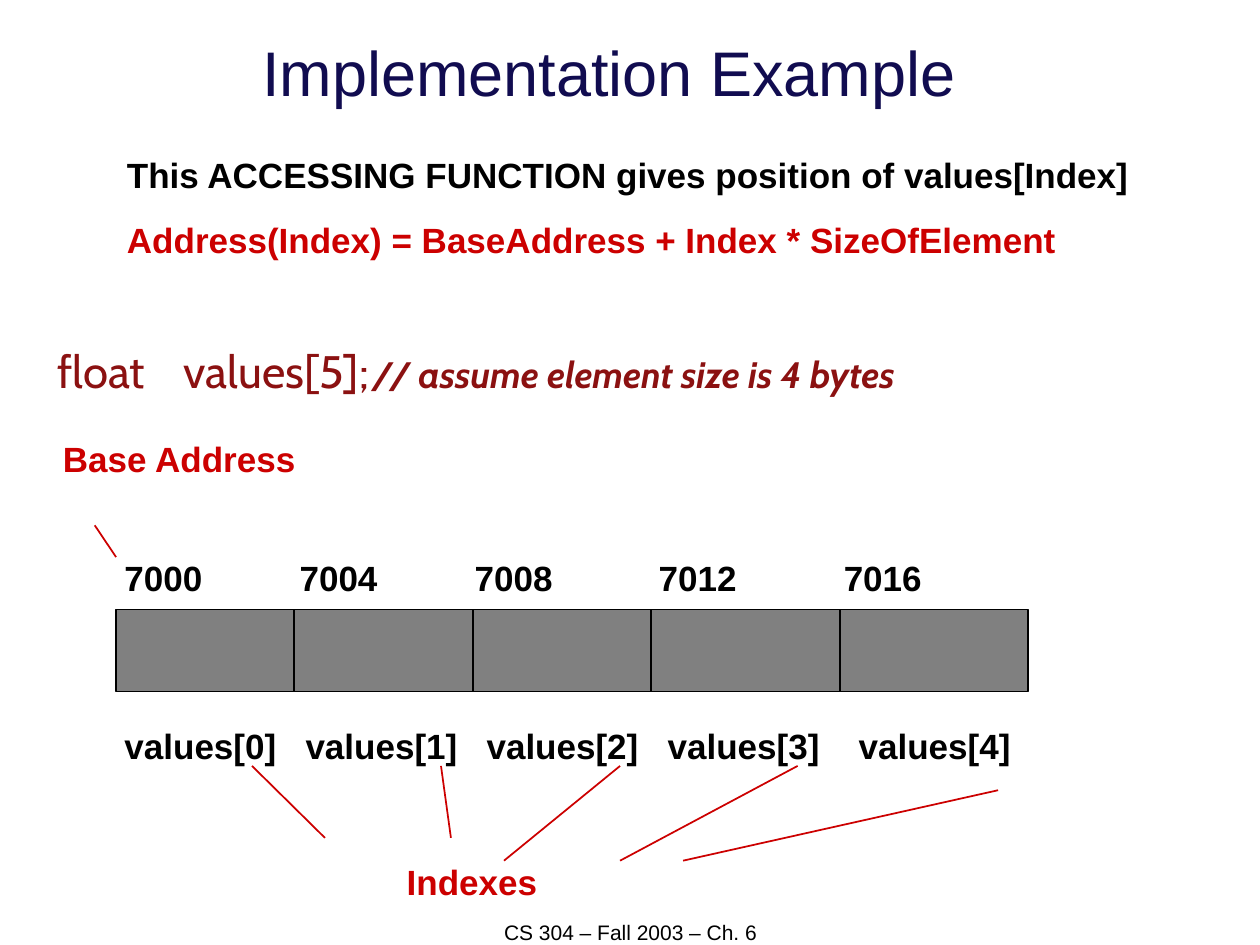
from dataclasses import dataclass

from lxml.etree import SubElement
from pptx import Presentation
from pptx.dml.color import RGBColor
from pptx.enum.shapes import MSO_CONNECTOR as Connector, MSO_SHAPE as Shape
from pptx.enum.text import MSO_ANCHOR as Anchor, MSO_AUTO_SIZE as AutoSize, PP_ALIGN as Align
from pptx.oxml.ns import qn
from pptx.util import Cm, Pt


@dataclass(frozen=True)
class Theme:
    font: str = "Arial"
    code_font: str = "Cabin"
    ink: str = "000000"
    title: str = "110C50"
    code: str = "8B1111"
    accent: str = "CC0000"
    cell: str = "808080"
    title_size: int = 36
    code_size: int = 26
    comment_size: int = 21
    label_size: int = 20
    footer_size: int = 12
    line_width: int = 1


class SlideBuilder:
    def __init__(self, presentation, theme):
        self.theme = theme
        self.slide = presentation.slides.add_slide(presentation.slide_layouts[1])

    def place(self, shape, left, top, width, height):
        shape.left, shape.top = Cm(left), Cm(top)
        shape.width, shape.height = Cm(width), Cm(height)

    def set_font(self, font, size, color, name=None, bold=False):
        font.name = name or self.theme.font
        font.size = Pt(size)
        font.bold = bold
        font.color.rgb = RGBColor.from_string(color)

    def set_tabs(self, paragraph, stops):
        tab_list = SubElement(paragraph._p.get_or_add_pPr(), qn("a:tabLst"))
        for stop in stops:
            SubElement(tab_list, qn("a:tab"), pos=str(Cm(stop)), algn="l")

    def title(self, text, box):
        shape = self.slide.shapes.title
        self.place(shape, *box)
        frame = shape.text_frame
        frame.text = text
        frame.auto_size = AutoSize.NONE
        frame.vertical_anchor = Anchor.BOTTOM
        paragraph = frame.paragraphs[0]
        paragraph.alignment = Align.CENTER
        self.set_font(paragraph.font, self.theme.title_size, self.theme.title)

    def declaration(self, code, comment, box, stops):
        shape = self.slide.placeholders[1]
        self.place(shape, *box)
        frame = shape.text_frame
        frame.auto_size = AutoSize.NONE
        paragraph = frame.paragraphs[0]
        properties = paragraph._p.get_or_add_pPr()
        properties.set("marL", "0")
        properties.set("indent", "0")
        SubElement(properties, qn("a:buNone"))
        self.set_tabs(paragraph, stops)
        paragraph.space_before = Pt(0)
        self.set_font(paragraph.font, self.theme.code_size, self.theme.code, self.theme.code_font)
        paragraph.add_run().text = code + "\t"
        remark = paragraph.add_run()
        remark.text = comment
        remark.font.size = Pt(self.theme.comment_size)
        remark.font.bold = remark.font.italic = True

    def text(self, lines, box, size=None, bold=True, align=Align.LEFT, stops=(), gap=0):
        frame = self.slide.shapes.add_textbox(*map(Cm, box)).text_frame
        frame.word_wrap = True
        for number, (line, color) in enumerate(lines):
            paragraph = frame.add_paragraph() if number else frame.paragraphs[0]
            paragraph.text = line
            paragraph.alignment = align
            if number:
                paragraph.space_before = Pt(gap)
            if stops:
                self.set_tabs(paragraph, stops)
            self.set_font(paragraph.font, size or self.theme.label_size, color, bold=bold)

    def line(self, start, end, color, group=None):
        shapes = (group or self.slide).shapes
        connector = shapes.add_connector(Connector.STRAIGHT, *map(Cm, start + end))
        connector.line.color.rgb = RGBColor.from_string(color)
        connector.line.width = Pt(self.theme.line_width)
        SubElement(connector._element.spPr, qn("a:effectLst"))

    def array(self, box, dividers):
        group = self.slide.shapes.add_group_shape()
        shape = group.shapes.add_shape(Shape.RECTANGLE, *map(Cm, box))
        shape.shadow.inherit = False
        shape.fill.solid()
        shape.fill.fore_color.rgb = RGBColor.from_string(self.theme.cell)
        shape.line.color.rgb = RGBColor.from_string(self.theme.ink)
        shape.line.width = Pt(self.theme.line_width)
        top, bottom = box[1], box[1] + box[3]
        for x in dividers:
            self.line((x, top), (x, bottom), self.theme.ink, group)

    def pointers(self, ends):
        group = self.slide.shapes.add_group_shape()
        for start, end in ends:
            self.line(start, end, self.theme.accent, group)


def main():
    presentation = Presentation()
    presentation.slide_width, presentation.slide_height = Cm(25.4), Cm(19.05)
    theme = Theme()
    builder = SlideBuilder(presentation, theme)

    builder.title("Implementation Example", (1.27, 0.43, 22.02, 1.9))
    builder.declaration("float\tvalues[5];", "// assume element size is 4 bytes",
                        (0.91, 6.78, 24.26, 10.9), (2.16, 7.36))
    builder.text([("CS 304 – Fall 2003 – Ch. 6", theme.ink)], (8.69, 18.42, 8.05, 0.63),
                 size=theme.footer_size, bold=False, align=Align.CENTER)
    builder.text([("This ACCESSING FUNCTION gives position of values[Index]", theme.ink),
                  ("Address(Index) = BaseAddress + Index * SizeOfElement", theme.accent)],
                 (2.31, 2.97, 21.3, 2.39), gap=13)
    builder.text([("Base Address", theme.accent)], (1.02, 8.69, 5.6, 1.1))

    builder.array((2.34, 12.29, 18.39, 1.65), (5.92, 9.53, 13.13, 16.94))
    addresses = "\t".join(str(7000 + 4 * index) for index in range(5))
    elements = "\t".join(f"values[{index}]" for index in range(5))
    builder.text([(addresses, theme.ink)], (2.26, 11.1, 18.8, 1.1),
                 stops=(3.53, 7.06, 10.77, 14.5))
    builder.text([(elements, theme.ink)], (2.26, 14.48, 18.8, 1.1),
                 stops=(3.65, 7.3, 10.95, 14.8))

    builder.text([("Indexes", theme.accent)], (7.95, 17.22, 5.84, 1.1))
    builder.pointers([((5.08, 15.44), (6.55, 16.89)),
                      ((8.89, 15.44), (9.09, 16.89)),
                      ((12.5, 15.44), (10.16, 17.35)),
                      ((16.08, 15.44), (12.5, 17.35)),
                      ((20.12, 15.93), (13.77, 17.35))])
    builder.line((1.91, 10.59), (2.34, 11.23), theme.accent)

    presentation.save("out.pptx")


if __name__ == "__main__":
    main()
